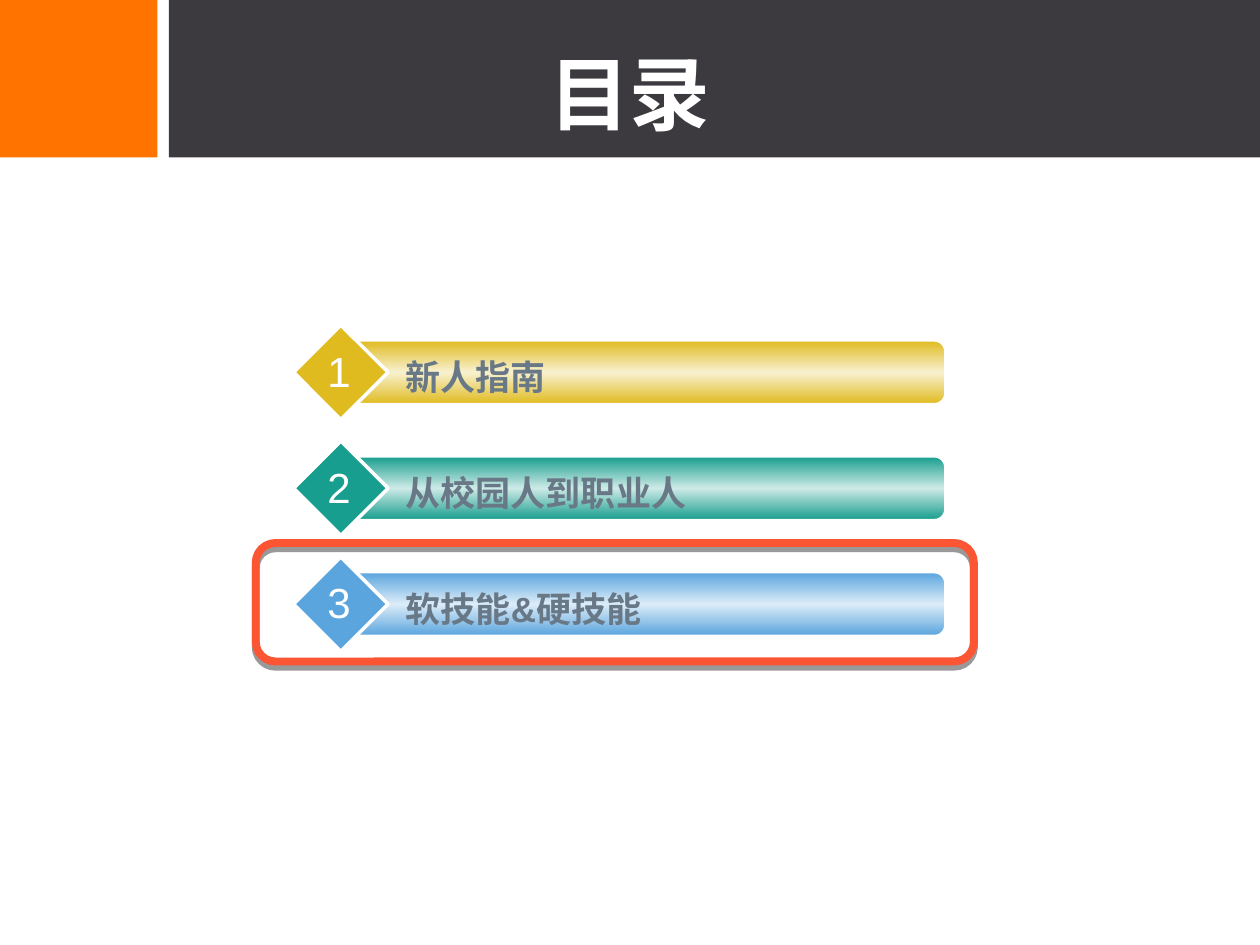
from pptx import Presentation
from pptx import util as u
from pptx.dml.color import RGBColor
from pptx.enum import shapes, text
from pptx.oxml import parse_xml
from pptx.oxml.ns import nsdecls

SHAPE = shapes.MSO_SHAPE
WIDTH, HEIGHT = 10, 7.5
CJK_FONT = "Noto Sans CJK SC"
WHITE, INK = "FFFFFF", "697886"
ORANGE, CHARCOAL, HIGHLIGHT = "FF7300", "3C3A3E", "FC5534"
# label, edge colour, middle colour, label font
ITEMS = [
    ("新人指南", "E0BB20", "F8F1D0", CJK_FONT),
    ("从校园人到职业人", "189E8E", "CEEAE7", "Arial"),
    ("软技能&硬技能", "5AA5DE", "DCECF8", "Arial"),
]
CURRENT = 2
LIST_LEFT, LIST_TOP, ROW_PITCH = 2.33, 2.58, 0.92
ROW_WIDTH, ROW_HEIGHT = 5.17, 0.75


def rgb(value):
    return RGBColor.from_string(value)


def add_block(parent, kind, box, fill=None, line=None, line_width=1):
    block = parent.shapes.add_shape(kind, *map(u.Inches, box))
    block.shadow.inherit = False
    if fill:
        block.fill.solid()
        block.fill.fore_color.rgb = rgb(fill)
    else:
        block.fill.background()
    if line:
        block.line.color.rgb = rgb(line)
        block.line.width = u.Pt(line_width)
    else:
        block.line.fill.background()
    return block


def add_label(parent, box, words, size, font, color, bold=False,
              align=text.PP_ALIGN.LEFT, inset=0.1, wrap=True):
    label = parent.shapes.add_textbox(*map(u.Inches, box))
    frame = label.text_frame
    frame.word_wrap = wrap
    frame.margin_left = u.Inches(inset)
    paragraph = frame.paragraphs[0]
    paragraph.text = words
    paragraph.alignment = align
    style = paragraph.font
    style.size, style.name, style.bold = u.Pt(size), font, bold
    style.color.rgb = rgb(color)
    style._element.find("{*}latin").addnext(
        parse_xml(f'<a:ea {nsdecls("a")} typeface="{CJK_FONT}"/>'))


def fill_with_sheen(bar, edge, middle):
    """Give the bar a vertical gradient that is lightest at mid-height."""
    stops = "".join(
        f'<a:gs pos="{position}"><a:srgbClr val="{color}"/></a:gs>'
        for position, color in ((0, edge), (50000, middle), (100000, edge)))
    solid = bar._element.spPr.find("{*}solidFill")
    solid.addnext(parse_xml(
        f'<a:gradFill {nsdecls("a")} rotWithShape="1"><a:gsLst>{stops}</a:gsLst>'
        '<a:lin ang="5400000" scaled="1"/></a:gradFill>'))
    bar._element.spPr.remove(solid)


def add_header(slide, left, top, width, height):
    add_block(slide, SHAPE.RECTANGLE, (left, top, height, height), ORANGE)
    band_left = left + height + 0.09
    add_block(slide, SHAPE.RECTANGLE,
              (band_left, top, left + width - band_left, height), CHARCOAL)
    add_label(slide, (left + 0.05 * width, top + 0.3, 0.9 * width, height),
              "目录", 46, "Roboto", WHITE, True, text.PP_ALIGN.CENTER)


def add_item(slide, left, top, width, height, number, item):
    words, edge, middle, font = item
    row = slide.shapes.add_group_shape()
    bar_left, bar_height = left + 0.42, height * 2 / 3
    bar = add_block(row, SHAPE.ROUNDED_RECTANGLE,
                    (bar_left, top + (height - bar_height) / 2,
                     left + width - bar_left, bar_height), edge, WHITE)
    fill_with_sheen(bar, edge, middle)
    add_block(row, SHAPE.DIAMOND, (left, top, height, height), edge, WHITE, 2)
    add_label(row, (left + 0.67, top + 0.19, 4.25, 0.44), words, 20, font,
              INK, True, inset=0.22)
    add_label(row, (left + 0.17, top + 0.11, 0.38, 0.5), str(number), 24,
              "Arial", WHITE, align=text.PP_ALIGN.CENTER, wrap=False)


def add_highlight(slide, left, top, width, height):
    """Frame the current row with a shadowed outline."""
    frame = add_block(slide, SHAPE.ROUNDED_RECTANGLE,
                      (left - 0.3, top - 0.11, width + 0.53, height + 0.19),
                      line=HIGHLIGHT, line_width=4.5)
    effects = frame._element.spPr.find("{*}effectLst")
    effects.append(parse_xml(
        f'<a:outerShdw {nsdecls("a")} dist="38100" dir="5400000" rotWithShape="0">'
        '<a:srgbClr val="000000"><a:alpha val="40000"/></a:srgbClr></a:outerShdw>'))


def main():
    deck = Presentation()
    deck.slide_width, deck.slide_height = u.Inches(WIDTH), u.Inches(HEIGHT)
    slide = deck.slides.add_slide(deck.slide_layouts[6])
    add_header(slide, 0, 0, WIDTH, HEIGHT / 6)
    for index, item in enumerate(ITEMS):
        add_item(slide, LIST_LEFT, LIST_TOP + index * ROW_PITCH,
                 ROW_WIDTH, ROW_HEIGHT, index + 1, item)
    add_highlight(slide, LIST_LEFT, LIST_TOP + CURRENT * ROW_PITCH,
                  ROW_WIDTH, ROW_HEIGHT)
    deck.save("out.pptx")


if __name__ == "__main__":
    main()
